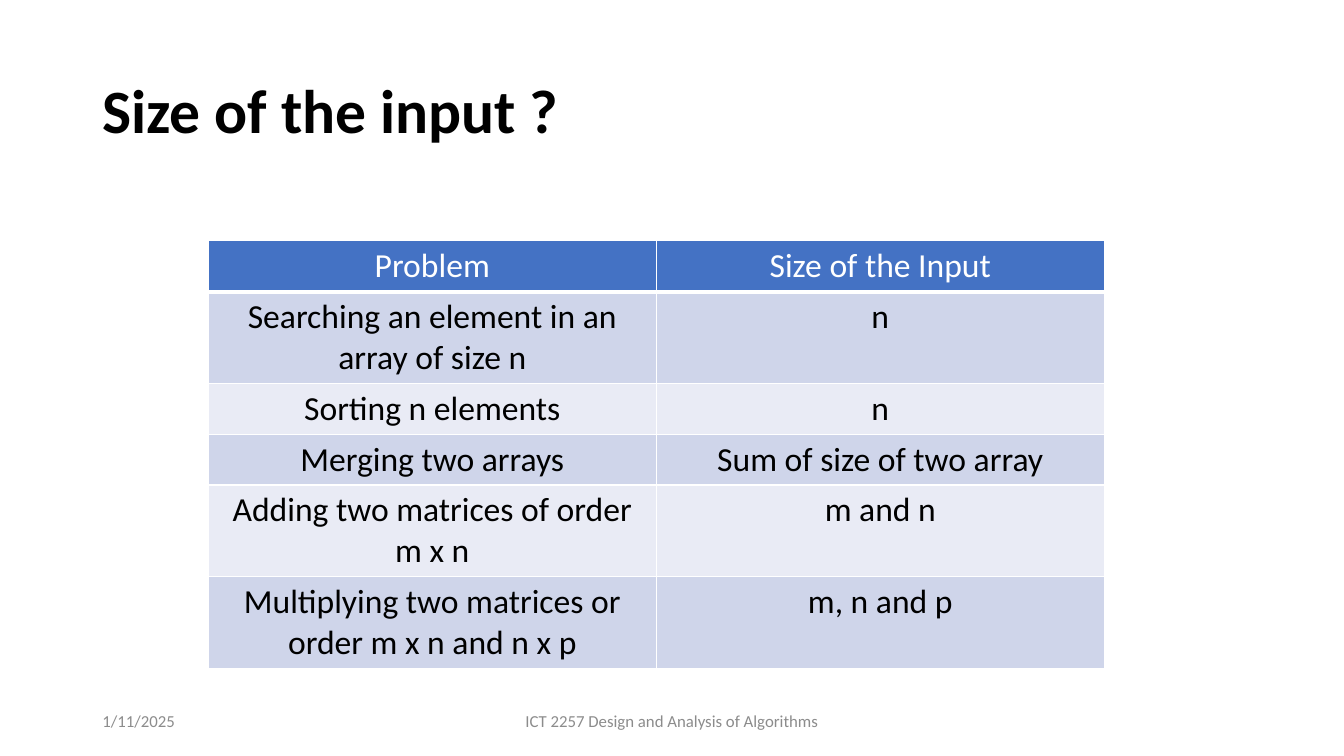
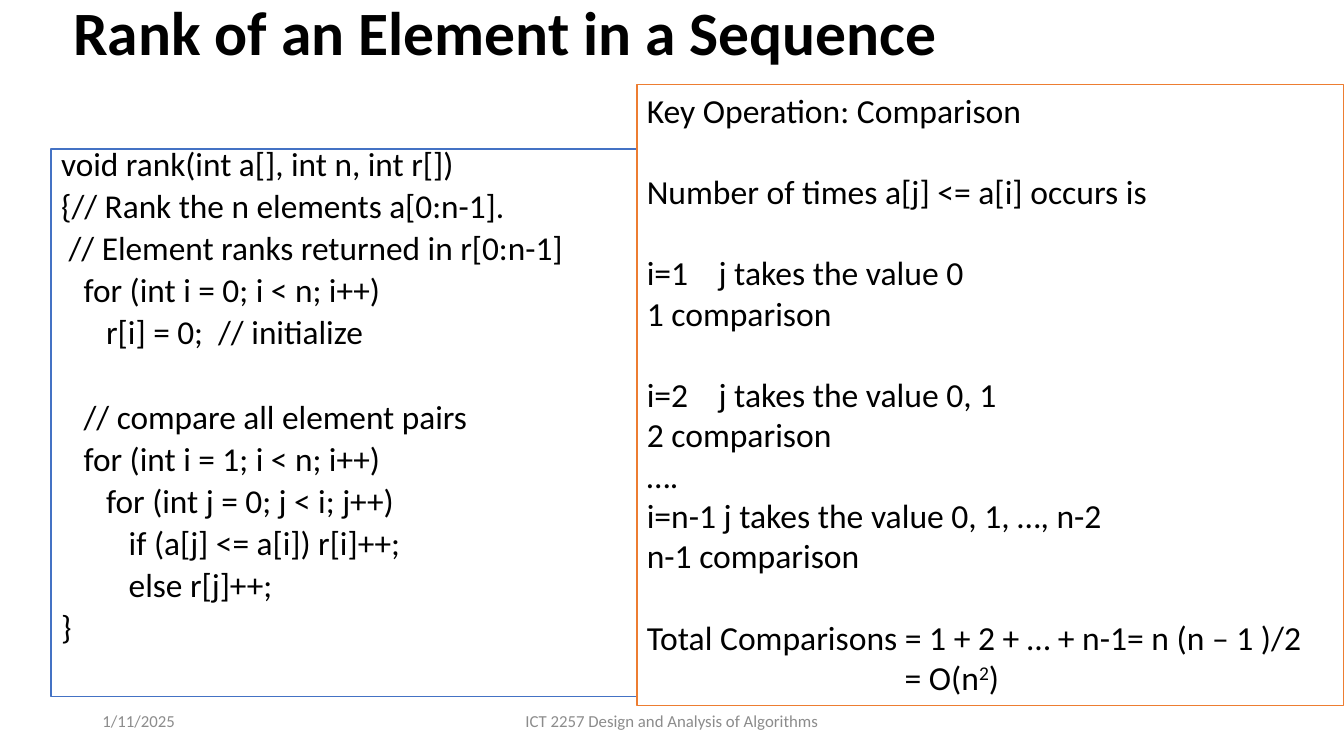
from lxml import etree
from pptx import Presentation
from pptx.dml.color import RGBColor
from pptx.enum.shapes import MSO_SHAPE
from pptx.enum.text import MSO_ANCHOR, PP_ALIGN
from pptx.oxml.ns import qn
from pptx.util import Cm, Pt

LEFT, CENTER = PP_ALIGN.LEFT, PP_ALIGN.CENTER
TOP, MIDDLE = MSO_ANCHOR.TOP, MSO_ANCHOR.MIDDLE
RECT = MSO_SHAPE.RECTANGLE

FONT = "Calibri"
COLORS = {
    "text": "000000",
    "footer": "8C8C8C",
    "white": "FFFFFF",
    "blue": "4472C4",
    "orange": "ED7D31",
    "band_dark": "CFD5EA",
    "band_light": "E9EBF5",
}
INSET_X, INSET_Y = 0.25, 0.13
ROW_HEIGHT, LINE_HEIGHT = 1.28, 1.03
CODE_SIZE, CODE_GAP, CODE_SPACING = 23.8, 10, 0.7
NOTE_SIZE, NOTE_LINE, NOTE_TAB = 24, 29.3, 1.81

PROBLEMS = [
    ("Problem", "Size of the Input", 1),
    ("Searching an element in an array of size n", "n", 2),
    ("Sorting n elements", "n", 1),
    ("Merging two arrays", "Sum of size of two array", 1),
    ("Adding two matrices of order m x n", "m and n", 2),
    ("Multiplying two matrices or order m x n and n x p", "m, n and p", 2),
]

RANK_CODE = """void rank(int a[], int n, int r[])
{// Rank the n elements a[0:n-1].
 // Element ranks returned in r[0:n-1]
   for (int i = 0; i < n; i++)
      r[i] = 0;  // initialize

   // compare all element pairs
   for (int i = 1; i < n; i++)
      for (int j = 0; j < i; j++)
         if (a[j] <= a[i]) r[i]++;
         else r[j]++;
}"""

# Each group of lines is set apart from the one above it
COMPARISON_NOTES = [
    ["Key Operation: Comparison"],
    ["Number of times a[j] <= a[i] occurs is"],
    ["i=1\tj takes the value 0", "1 comparison"],
    ["i=2\tj takes the value 0, 1", "2 comparison", "….",
     "i=n-1 j takes the value 0, 1, …, n-2", "n-1 comparison"],
    ["Total Comparisons = 1 + 2 + … + n-1= n (n – 1 )/2"],
]


def rgb(name):
    return RGBColor.from_string(COLORS[name])


def add_text(tf, text, first=False, size=24, color="text", bold=False,
             align=LEFT, spacing=None, before=0, indent=0, tab=None, sup=None):
    """Write one paragraph; sup is a (superscript, rest) pair after the text."""
    p = tf.paragraphs[0] if first else tf.add_paragraph()
    if tab:
        tabs = etree.SubElement(p._p.get_or_add_pPr(), qn("a:tabLst"))
        etree.SubElement(tabs, qn("a:tab"), pos=str(Cm(tab)), algn="l")
    if indent:
        p._p.get_or_add_pPr().set("marL", str(Cm(indent)))
    p.alignment = align
    p.space_before = Pt(0 if first else before)
    if spacing:
        p.line_spacing = spacing
    for i, part in enumerate((text,) + (sup or ())):
        r = p.add_run()
        r.text = part
        r.font.name, r.font.size, r.font.bold = FONT, Pt(size), bold
        r.font.color.rgb = rgb(color)
        if i == 1:
            r._r.get_or_add_rPr().set("baseline", "30000")
    return p


def set_frame(tf, anchor, inset_y=INSET_Y):
    tf.word_wrap = True
    tf.vertical_anchor = anchor
    tf.margin_left = tf.margin_right = Cm(INSET_X)
    tf.margin_top = tf.margin_bottom = Cm(inset_y)
    return tf


def add_label(s, box, text, **fmt):
    sp = s.shapes.add_textbox(*map(Cm, box))
    add_text(set_frame(sp.text_frame, MIDDLE, 0), text, first=True, **fmt)


def add_title(s, box, text):
    add_label(s, box, text, size=44, bold=True, spacing=0.9)


def add_footer(s):
    add_label(s, (2.33, 17.66, 7.62, 1.01), "1/11/2025",
              size=12, color="footer")
    add_label(s, (11.22, 17.66, 11.43, 1.01),
              "ICT 2257 Design and Analysis of Algorithms",
              size=12, color="footer", align=CENTER)


def add_panel(s, box, line):
    """Outlined white rectangle; returns its text frame."""
    sp = s.shapes.add_shape(RECT, *map(Cm, box))
    sp.shadow.inherit = False
    sp.fill.solid()
    sp.fill.fore_color.rgb = rgb("white")
    sp.line.color.rgb = rgb(line)
    sp.line.width = Pt(1)
    return set_frame(sp.text_frame, TOP)


def set_borders(cell, bottom):
    tcPr = cell._tc.get_or_add_tcPr()
    for side, width in (("L", 1), ("R", 1), ("T", 1), ("B", bottom)):
        ln = etree.SubElement(tcPr, qn("a:ln" + side), w=str(Pt(width)))
        fill = etree.SubElement(ln, qn("a:solidFill"))
        etree.SubElement(fill, qn("a:srgbClr"), val=COLORS["white"])


def add_problem_table(s, left, top, width):
    heights = [ROW_HEIGHT + (lines - 1) * LINE_HEIGHT
               for _, _, lines in PROBLEMS]
    table = s.shapes.add_table(len(PROBLEMS), 2, Cm(left), Cm(top),
                               Cm(width), Cm(sum(heights))).table
    for i, (problem, size, _) in enumerate(PROBLEMS):
        table.rows[i].height = Cm(heights[i])
        header = i == 0
        band = "blue" if header else "band_dark" if i % 2 else "band_light"
        for j, text in enumerate((problem, size)):
            cell = table.cell(i, j)
            set_borders(cell, 3 if header else 1)
            cell.fill.solid()
            cell.fill.fore_color.rgb = rgb(band)
            add_text(cell.text_frame, text, first=True, align=CENTER,
                     color="white" if header else "text")


def add_code(s, box):
    tf = add_panel(s, box, "blue")
    for i, block in enumerate(RANK_CODE.split("\n\n")):
        for j, line in enumerate(block.split("\n")):
            gap = CODE_GAP
            if i and j == 0:  # one code line plus its own spacing
                gap += CODE_GAP + CODE_SIZE * 1.22 * CODE_SPACING
            add_text(tf, line, first=i + j == 0, size=CODE_SIZE,
                     spacing=CODE_SPACING, before=gap)


def add_comparison_notes(s, box):
    tf = add_panel(s, box, "orange")
    for i, group in enumerate(COMPARISON_NOTES):
        for j, line in enumerate(group):
            add_text(tf, line, first=i + j == 0, size=NOTE_SIZE,
                     before=0 if j else NOTE_LINE,
                     tab=NOTE_TAB if "\t" in line else None)
    add_text(tf, "= O(n", size=NOTE_SIZE, indent=6.5, sup=("2", ")"))


def input_size_slide(s):
    add_footer(s)
    add_title(s, (2.33, 1.01, 29.21, 3.68), "Size of the input ?")
    add_problem_table(s, 5.25, 6.07, 22.58)


def rank_slide(s):
    add_code(s, (1.29, 3.76, 14.76, 13.79))
    add_footer(s)
    add_title(s, (1.6, 0, 29.21, 1.8), "Rank of an Element in a Sequence")
    add_comparison_notes(s, (16.05, 2.13, 17.81, 15.65))


def main():
    prs = Presentation()
    prs.slide_width, prs.slide_height = Cm(33.87), Cm(19.05)
    for build in (input_size_slide, rank_slide):
        build(prs.slides.add_slide(prs.slide_layouts[6]))
    prs.save("out.pptx")


if __name__ == "__main__":
    main()
